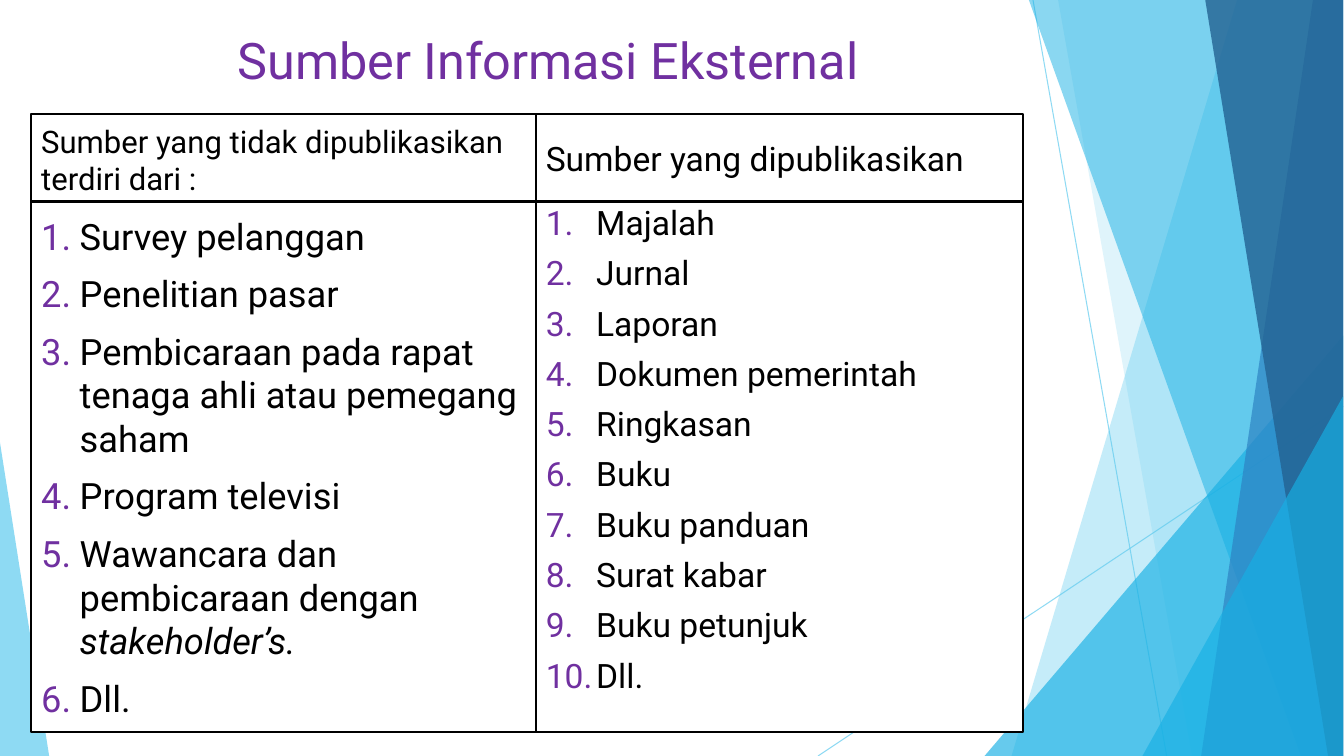
from dataclasses import dataclass

from lxml import etree
from pptx import Presentation
from pptx import util as u
from pptx.dml.color import RGBColor
from pptx.enum import shapes, text
from pptx.oxml.ns import qn


@dataclass(frozen=True)
class Theme:
    font: str = "Roboto"
    purple: str = "7030A0"
    black: str = "000000"
    white: str = "FFFFFF"
    sky: str = "5FCBEF"
    cyan: str = "17B0E4"
    blue: str = "2E83C3"
    navy: str = "236292"
    title_size: float = 36
    left_head_size: float = 22.2
    left_list_size: float = 25.9
    right_size: float = 24
    border: float = 1.5
    ray: float = 0.75


THEME = Theme()
WIDTH, HEIGHT = 33.88, 19.05
FACET_TOP, FACET_RIGHT = -0.02, 33.86
HEAD_TOP, HEAD_HEIGHT = 2.87, 2.21
LIST_TOP, LIST_HEIGHT = 5.08, 13.36

RAYS = [(26.04, 0, 29.41, HEIGHT), (FACET_RIGHT, 10.24, 20.62, HEIGHT)]

UNPUBLISHED = [
    [("Survey pelanggan", False)],
    [("Penelitian pasar", False)],
    [("Pembicaraan pada rapat tenaga ahli atau pemegang saham", False)],
    [("Program televisi", False)],
    [("Wawancara dan pembicaraan dengan ", False), ("stakeholder’s.", True)],
    [("Dll.", False)],
]
PUBLISHED = [
    [(source, False)]
    for source in (
        "Majalah", "Jurnal", "Laporan", "Dokumen pemerintah", "Ringkasan",
        "Buku", "Buku panduan", "Surat kabar", "Buku petunjuk", "Dll.",
    )
]


def rgb(color):
    return RGBColor.from_string(color)


def set_opacity(item, percent):
    for color in item._element.spPr.iter(qn("a:srgbClr")):
        etree.SubElement(color, qn("a:alpha"), val=str(percent * 1000))


def paint(item, color, opacity):
    item.shadow.inherit = False
    item.fill.solid()
    item.fill.fore_color.rgb = rgb(color)
    item.line.fill.background()
    set_opacity(item, opacity)


def add_ray(slide, ends):
    ray = slide.shapes.add_connector(
        shapes.MSO_CONNECTOR.STRAIGHT, *(u.Cm(end) for end in ends))
    ray.line.color.rgb = rgb(THEME.sky)
    ray.line.width = u.Pt(THEME.ray)
    set_opacity(ray, 70)
    etree.SubElement(ray._element.spPr, qn("a:effectLst"))


def add_facet(slide, top_x, bottom_x, color, opacity):
    corners = [(FACET_RIGHT, FACET_TOP), (FACET_RIGHT, HEIGHT), (bottom_x, HEIGHT)]
    outline = slide.shapes.build_freeform(u.Cm(top_x), u.Cm(FACET_TOP))
    outline.add_line_segments([(u.Cm(x), u.Cm(y)) for x, y in corners], close=True)
    paint(outline.convert_to_shape(), color, opacity)


def add_triangle(slide, left, top, width, apex, color, opacity):
    triangle = slide.shapes.add_shape(
        shapes.MSO_SHAPE.ISOSCELES_TRIANGLE,
        u.Cm(left), u.Cm(top), u.Cm(width), u.Cm(HEIGHT - top))
    triangle.adjustments[0] = apex
    paint(triangle, color, opacity)


def add_background(slide):
    for ends in RAYS:
        add_ray(slide, ends)
    add_facet(slide, 31.19, 25.5, THEME.sky, 36)
    add_facet(slide, 26.67, 30.05, THEME.sky, 20)
    add_triangle(slide, 24.82, 8.46, 9.04, 1, THEME.cyan, 66)
    add_facet(slide, 25.93, 32.79, THEME.cyan, 50)
    add_facet(slide, 33.1, 30.28, THEME.blue, 70)
    add_facet(slide, 30.38, 33.48, THEME.navy, 80)
    add_triangle(slide, 28.8, 9.98, 5.06, 1, THEME.cyan, 66)
    add_triangle(slide, 0, 11.15, 1.24, 0, THEME.sky, 70)


def add_run(paragraph, wording, size, color, italic=False):
    run = paragraph.add_run()
    run.text = wording
    run.font.name = THEME.font
    run.font.size = u.Pt(size)
    run.font.color.rgb = rgb(color)
    run.font.italic = italic


def add_title(slide, wording):
    title = slide.shapes.title
    title.left, title.top = u.Cm(1.88), u.Cm(0.56)
    title.width, title.height = u.Cm(23.88), u.Cm(1.83)
    title.text_frame.vertical_anchor = text.MSO_ANCHOR.BOTTOM
    heading = title.text_frame.paragraphs[0]
    heading.alignment = text.PP_ALIGN.CENTER
    add_run(heading, wording, THEME.title_size, THEME.purple)


def add_panel(slide, left, top, width, height, anchor):
    panel = slide.shapes.add_shape(
        shapes.MSO_SHAPE.RECTANGLE, u.Cm(left), u.Cm(top), u.Cm(width), u.Cm(height))
    panel.shadow.inherit = False
    panel.fill.solid()
    panel.fill.fore_color.rgb = rgb(THEME.white)
    panel.line.color.rgb = rgb(THEME.black)
    panel.line.width = u.Pt(THEME.border)
    panel.text_frame.word_wrap = True
    panel.text_frame.vertical_anchor = anchor
    return panel.text_frame


def add_head(slide, left, width, wording, size, anchor):
    frame = add_panel(slide, left, HEAD_TOP, width, HEAD_HEIGHT, anchor)
    head = frame.paragraphs[0]
    head.alignment = text.PP_ALIGN.LEFT
    add_run(head, wording, size, THEME.black)


def number(paragraph, indent):
    properties = paragraph._p.get_or_add_pPr()
    properties.set("marL", str(u.Cm(indent)))
    properties.set("indent", str(-u.Cm(indent)))
    bullet_color = etree.SubElement(properties, qn("a:buClr"))
    etree.SubElement(bullet_color, qn("a:srgbClr"), val=THEME.purple)
    etree.SubElement(properties, qn("a:buAutoNum"), type="arabicPeriod")


def add_list(slide, left, width, entries, size, anchor, indent, spacing):
    frame = add_panel(slide, left, LIST_TOP, width, LIST_HEIGHT, anchor)
    for index, entry in enumerate(entries):
        item = frame.add_paragraph() if index else frame.paragraphs[0]
        number(item, indent)
        item.alignment = text.PP_ALIGN.LEFT
        item.line_spacing = spacing
        if index:
            item.space_before = u.Pt(10)
        for wording, italic in entry:
            add_run(item, wording, size, THEME.black, italic)


def main():
    deck = Presentation()
    deck.slide_width, deck.slide_height = u.Cm(WIDTH), u.Cm(HEIGHT)
    slide = deck.slides.add_slide(deck.slide_layouts.get_by_name("Title Only"))
    add_background(slide)
    add_title(slide, "Sumber Informasi Eksternal")

    top, middle, bottom = (
        text.MSO_ANCHOR.TOP, text.MSO_ANCHOR.MIDDLE, text.MSO_ANCHOR.BOTTOM)
    unpublished, published = (0.79, 12.72), (13.51, 12.27)
    add_head(slide, *unpublished, "Sumber yang tidak dipublikasikan terdiri dari :",
             THEME.left_head_size, bottom)
    add_list(slide, *unpublished, UNPUBLISHED, THEME.left_list_size, middle, 0.97, 1.0)
    add_head(slide, *published, "Sumber yang dipublikasikan", THEME.right_size, middle)
    add_list(slide, *published, PUBLISHED, THEME.right_size, top, 1.27, 0.9)
    deck.save("out.pptx")


if __name__ == "__main__":
    main()
